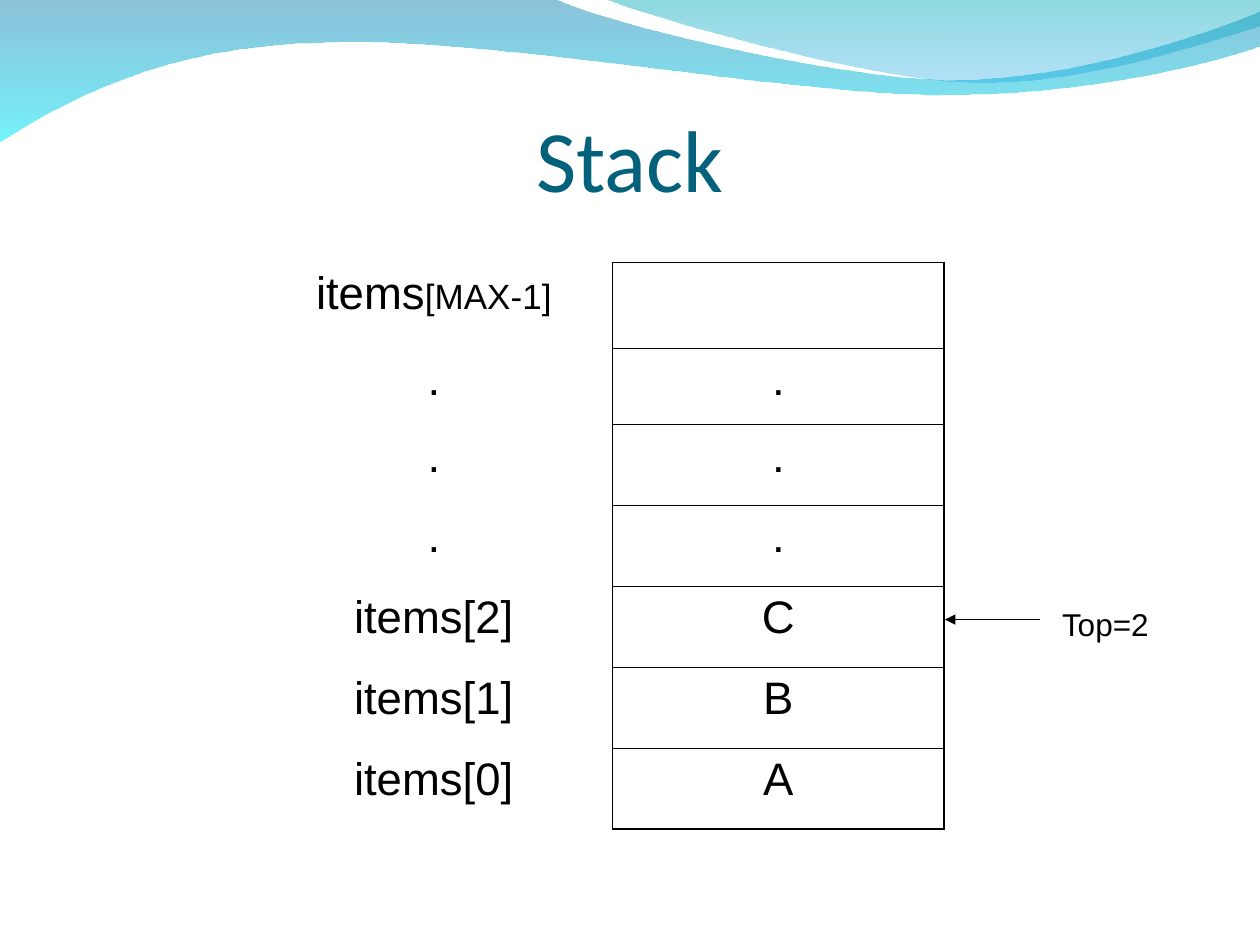
"""Build a slide that shows a stack held in an array, with its top marked."""
import dataclasses
import typing

import lxml.etree
import pptx
import pptx.dml.color
import pptx.enum.shapes
import pptx.enum.text
import pptx.oxml.ns
import pptx.util

Cm = pptx.util.Cm
Pt = pptx.util.Pt
qn = pptx.oxml.ns.qn
Align = pptx.enum.text.PP_ALIGN
Anchor = pptx.enum.text.MSO_ANCHOR
Point = tuple[float, float]


@dataclasses.dataclass(frozen=True)
class Theme:
    title_font: str = "Calibri"
    body_font: str = "Arial"
    title_color: str = "04617B"
    ink: str = "000000"
    title_size: float = 50
    item_size: float = 26
    index_size: float = 20
    label_size: float = 18
    outer_border: float = 1.08
    inner_border: float = 0.45
    arrow_width: float = 0.75


class Stop(typing.NamedTuple):
    color: str
    opacity: int


class Run(typing.NamedTuple):
    text: str
    size: float
    font: str
    color: str


@dataclasses.dataclass(frozen=True)
class Wave:
    """An outline in centimetres; a step of one point is a line, of three a curve."""
    start: Point
    steps: tuple[tuple[Point, ...], ...]
    stops: tuple[Stop, Stop]


@dataclasses.dataclass(frozen=True)
class Slot:
    label: tuple[Run, ...]
    value: tuple[Run, ...]
    height: float = 1.63
    space_before: float = 6.5


THEME = Theme()


def body_run(text: str, size: float = THEME.item_size) -> Run:
    return Run(text, size, THEME.body_font, THEME.ink)


DOT = (body_run("."),)
SLOTS = (
    Slot((body_run("items"), body_run("[MAX-1]", THEME.index_size)), (), 1.73, 5),
    Slot(DOT, DOT, 1.54),
    Slot(DOT, DOT),
    Slot(DOT, DOT),
    *(Slot((body_run(f"items[{index}]"),), (body_run("ABC"[index]),)) for index in (2, 1, 0)),
)
WAVES = (
    Wave((0, -0.03), (
        ((11.18, -0.03),),
        ((12.09, 0.43), (16.87, 1.6), (19.25, 1.6)),
        ((21.67, 1.6), (24.33, 0.66), (25.4, 0.23)),
        ((25.43, 0.91),),
        ((24.97, 1.12), (22.1, 1.93), (18.95, 1.91)),
        ((15.8, 1.91), (9.7, 0.71), (6.53, 0.86)),
        ((3.28, 0.89), (1.17, 2.11), (-0.03, 2.87)),
        ((0, -0.03),),
    ), (Stop("0079AF", 45), Stop("00EBF8", 55))),
    Wave((12.17, -0.03), (
        ((12.93, 0.28), (17.32, 1.57), (19.53, 1.65)),
        ((21.74, 1.75), (24.41, 0.81), (25.4, 0.53)),
        ((25.4, 0),),
        ((12.17, -0.03),),
    ), (Stop("00ADB6", 45), Stop("009BE5", 30))),
)


def rgb(color: str) -> pptx.dml.color.RGBColor:
    return pptx.dml.color.RGBColor.from_string(color)


def bend_lines(shape, steps: tuple[tuple[Point, ...], ...]) -> None:
    """Turn each run of three line segments that stands for a curve into one curve."""
    segments = iter(list(shape._element.spPr.iter(qn("a:lnTo"))))
    for step in steps:
        group = [next(segments) for _ in step]
        if len(group) == 3:
            curve = lxml.etree.Element(qn("a:cubicBezTo"))
            group[0].addprevious(curve)
            for segment in group:
                curve.append(segment[0])
                segment.getparent().remove(segment)


def draw_wave(page, wave: Wave) -> None:
    corners = [(Cm(x), Cm(y)) for step in wave.steps for x, y in step]
    builder = page.shapes.build_freeform(*map(Cm, wave.start), scale=1.0)
    builder.add_line_segments(corners, close=True)
    shape = builder.convert_to_shape()
    bend_lines(shape, wave.steps)
    shape.shadow.inherit = False
    shape.line.fill.background()
    shape.fill.gradient()
    shape.fill.gradient_angle = 270
    for position, (gradient_stop, stop) in enumerate(zip(shape.fill.gradient_stops, wave.stops)):
        gradient_stop.position = position
        gradient_stop.color.rgb = rgb(stop.color)
    for color, stop in zip(shape._element.spPr.iter(qn("a:srgbClr")), wave.stops):
        lxml.etree.SubElement(color, qn("a:alpha"), val=str(stop.opacity * 1000))


def write_runs(para, runs: tuple[Run, ...], align: Align, space_before: float = 0) -> None:
    para.alignment = align
    para.space_before = Pt(space_before)
    for run in runs:
        span = para.add_run()
        span.text = run.text
        span.font.size = Pt(run.size)
        span.font.name = run.font
        span.font.color.rgb = rgb(run.color)


def draw_text(shapes, bounds: tuple[float, float, float, float], run: Run, align: Align,
              space_before: float = 0) -> pptx.text.text.TextFrame:
    box = shapes.add_textbox(*map(Cm, bounds))
    box.text_frame.word_wrap = True
    write_runs(box.text_frame.paragraphs[0], (run,), align, space_before)
    return box.text_frame


def draw_title(page) -> None:
    run = Run("Stack", THEME.title_size, THEME.title_font, THEME.title_color)
    frame = draw_text(page.shapes, (1.27, 0.85, 22.86, 3.38), run, Align.CENTER)
    frame.vertical_anchor = Anchor.BOTTOM
    frame.margin_left = frame.margin_right = frame.margin_bottom = 0


def set_borders(cell, widths: dict[str, float]) -> None:
    """Draw the named sides of a cell and hide the others."""
    properties = cell._tc.get_or_add_tcPr()
    for side in "LRTB":
        line = lxml.etree.SubElement(properties, qn(f"a:ln{side}"))
        if side in widths:
            line.set("w", str(Pt(widths[side])))
            fill = lxml.etree.SubElement(line, qn("a:solidFill"))
            lxml.etree.SubElement(fill, qn("a:srgbClr"), val=THEME.ink)
        else:
            lxml.etree.SubElement(line, qn("a:noFill"))


def draw_stack(page, slots: tuple[Slot, ...]) -> None:
    widths = (7.21, 6.68)
    height = sum(slot.height for slot in slots)
    frame = page.shapes.add_table(len(slots), 2, Cm(5.14), Cm(5.29), Cm(sum(widths)), Cm(height))
    table = frame.table
    table.first_row = table.horz_banding = False
    for column, width in zip(table.columns, widths):
        column.width = Cm(width)
    outer, inner = THEME.outer_border, THEME.inner_border
    for index, slot in enumerate(slots):
        table.rows[index].height = Cm(slot.height)
        top = inner if index else outer
        bottom = inner if index < len(slots) - 1 else outer
        borders = ({"R": outer}, {"L": outer, "R": outer, "T": top, "B": bottom})
        for column, runs in enumerate((slot.label, slot.value)):
            cell = table.cell(index, column)
            set_borders(cell, borders[column])
            cell.fill.background()
            write_runs(cell.text_frame.paragraphs[0], runs, Align.CENTER, slot.space_before)


def draw_arrow(shapes, start: Point, end: Point) -> None:
    arrow = shapes.add_connector(
        pptx.enum.shapes.MSO_CONNECTOR.STRAIGHT, *map(Cm, (*start, *end)))
    arrow.line.color.rgb = rgb(THEME.ink)
    arrow.line.width = Pt(THEME.arrow_width)
    lxml.etree.SubElement(arrow.line._get_or_add_ln(), qn("a:tailEnd"), type="triangle")
    lxml.etree.SubElement(arrow._element.spPr, qn("a:effectLst"))


def draw_top_marker(page) -> None:
    marker = page.shapes.add_group_shape()
    draw_arrow(marker.shapes, (20.96, 12.49), (19.05, 12.49))
    label = body_run("Top=2", THEME.label_size)
    frame = draw_text(marker.shapes, (21.16, 12.07, 3.38, 1.02), label, Align.LEFT, 11.2)
    frame.auto_size = pptx.enum.text.MSO_AUTO_SIZE.SHAPE_TO_FIT_TEXT


def main() -> None:
    deck = pptx.Presentation()
    deck.slide_width, deck.slide_height = Cm(25.4), Cm(19.05)
    page = deck.slides.add_slide(deck.slide_layouts[6])
    for wave in WAVES:
        draw_wave(page, wave)
    draw_title(page)
    draw_stack(page, SLOTS)
    draw_top_marker(page)
    deck.save("out.pptx")


if __name__ == "__main__":
    main()
